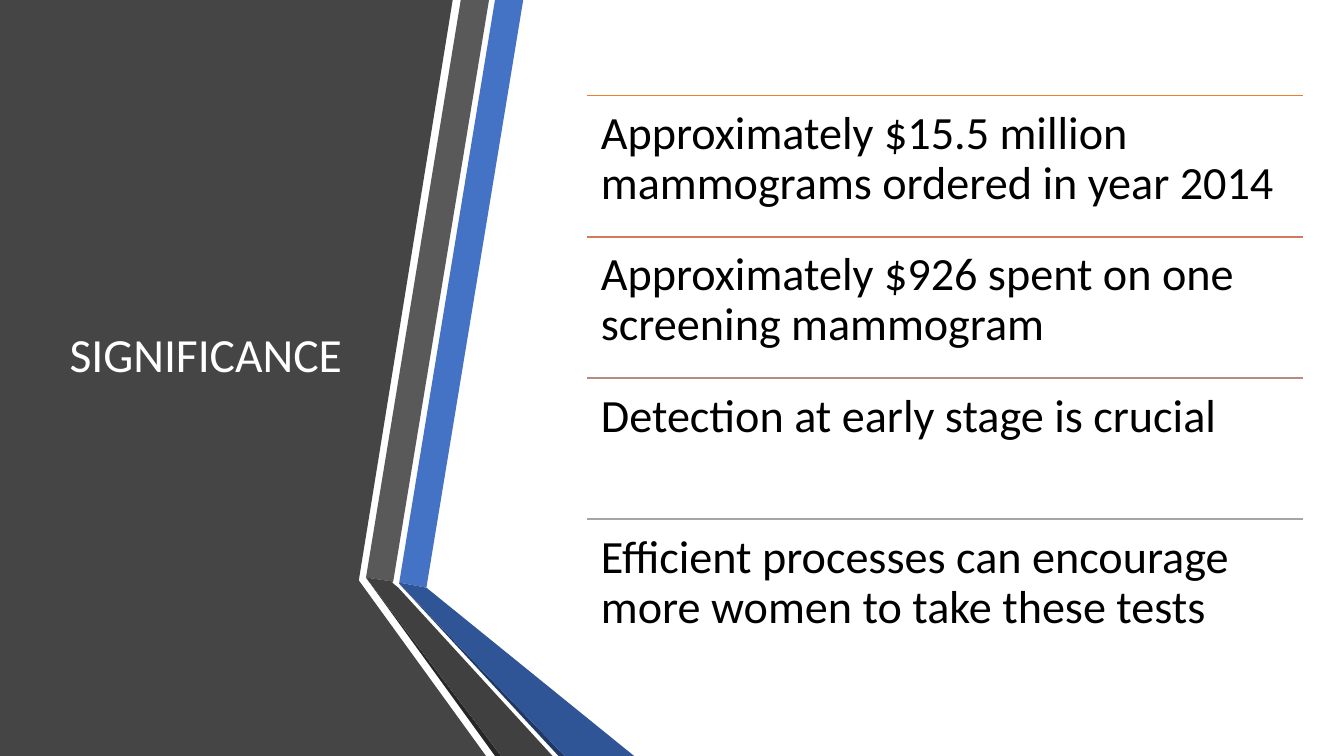
from lxml.etree import SubElement
from pptx import Presentation
from pptx.dml.color import RGBColor
from pptx.enum.shapes import MSO_CONNECTOR
from pptx.enum.text import MSO_ANCHOR, PP_ALIGN
from pptx.oxml.ns import qn
from pptx.util import Inches, Pt

WHITE = RGBColor(0xFF, 0xFF, 0xFF)
BLACK = RGBColor(0x00, 0x00, 0x00)
PANEL_GRAY = RGBColor(0x45, 0x45, 0x45)
BLUE = RGBColor(0x44, 0x72, 0xC4)
BLUE_FOLD = RGBColor(0x2F, 0x55, 0x97)
BLUE_SHADE = RGBColor(0x20, 0x38, 0x64)
GRAY = RGBColor(0x59, 0x59, 0x59)
GRAY_FOLD = RGBColor(0x40, 0x40, 0x40)
GRAY_SHADE = RGBColor(0x26, 0x26, 0x26)
ORANGE = RGBColor(0xED, 0x7D, 0x31)
COPPER = RGBColor(0xD1, 0x7B, 0x5C)
ROSE = RGBColor(0xB9, 0x8A, 0x82)
SILVER = RGBColor(0xA5, 0xA5, 0xA5)

# Outlines in inches, from back to front
RIBBONS = [
    (PANEL_GRAY, [(0, 0), (4.49, 0), (3.56, 5.75), (3.56, 5.76), (4.82, 7.5), (0, 7.5)]),
    (BLUE, [(3.96, 5.78), (4.23, 5.83), (5.19, 0), (4.91, 0)]),
    (GRAY, [(4.85, 0), (4.57, 0), (3.63, 5.73), (3.9, 5.77)]),
    (GRAY_SHADE, [(3.63, 5.73), (4.91, 7.5), (4.97, 7.5)]),
    (BLUE_SHADE, [(3.96, 5.79), (5.54, 7.5), (5.6, 7.5)]),
    (BLUE_FOLD, [(3.96, 5.79), (5.6, 7.5), (6.29, 7.5), (4.23, 5.83), (3.96, 5.78)]),
    (GRAY_FOLD, [(5.48, 7.5), (3.95, 5.83), (3.89, 5.78), (3.9, 5.77), (3.63, 5.73), (4.97, 7.5)]),
]

POINTS = [
    (ORANGE, "Approximately $15.5 million mammograms ordered in year 2014"),
    (COPPER, "Approximately $926 spent on one screening mammogram"),
    (ROSE, "Detection at early stage is crucial"),
    (SILVER, "Efficient processes can encourage more women to take these tests"),
]
POINT_LEFT, POINT_TOP = 5.82, 0.95
POINT_WIDTH, POINT_HEIGHT = 7.1, 1.4


class SlideBuilder:
    """Holds the text style and the slide being filled."""

    font_name = "Calibri"
    paragraph_format = {"alignment": PP_ALIGN.LEFT, "line_spacing": 0.9}

    def __init__(self, slide):
        self.slide = slide

    @staticmethod
    def apply(target, values):
        for name, value in values.items():
            setattr(target, name, value)

    def fill_text(self, shape, text, size, color, frame_format):
        frame = shape.text_frame
        self.apply(frame, {"word_wrap": True, **frame_format})
        paragraph = frame.paragraphs[0]
        self.apply(paragraph, self.paragraph_format)
        run = paragraph.add_run()
        run.text = text
        self.apply(run.font, {"name": self.font_name, "size": Pt(size)})
        run.font.color.rgb = color

    def ribbon(self, color, corners):
        start, *others = [(Inches(x), Inches(y)) for x, y in corners]
        builder = self.slide.shapes.build_freeform(*start)
        builder.add_line_segments(others, close=True)
        shape = builder.convert_to_shape()
        shape.shadow.inherit = False
        shape.fill.solid()
        shape.fill.fore_color.rgb = color
        shape.line.fill.background()

    def title(self, text, left, top, width, height):
        """Fill the title placeholder and bring it in front of the ribbons."""
        shape = self.slide.shapes.title
        self.apply(shape, {"left": Inches(left), "top": Inches(top),
                           "width": Inches(width), "height": Inches(height)})
        self.fill_text(shape, text, 34, WHITE, {"vertical_anchor": MSO_ANCHOR.MIDDLE})
        shape.element.getparent().append(shape.element)

    def rule(self, left, top, width, color):
        line = self.slide.shapes.add_connector(
            MSO_CONNECTOR.STRAIGHT, Inches(left), Inches(top), Inches(left + width), Inches(top))
        line.line.color.rgb = color
        line.line.width = Pt(1)
        SubElement(line.element.spPr, qn("a:effectLst"))

    def text(self, text, left, top, width, height):
        shape = self.slide.shapes.add_textbox(
            Inches(left), Inches(top), Inches(width), Inches(height))
        margins = {f"margin_{side}": Inches(0.14) for side in ("left", "top", "right", "bottom")}
        self.fill_text(shape, text, 33, BLACK, {"vertical_anchor": MSO_ANCHOR.TOP, **margins})


def main():
    presentation = Presentation()
    presentation.slide_width = Inches(13.33)
    presentation.slide_height = Inches(7.5)
    title_only = presentation.slide_layouts[5]
    builder = SlideBuilder(presentation.slides.add_slide(title_only))

    for color, corners in RIBBONS:
        builder.ribbon(color, corners)
    builder.title("SIGNIFICANCE", 0.59, 0.75, 3.04, 5.58)
    for index, (color, text) in enumerate(POINTS):
        top = POINT_TOP + index * POINT_HEIGHT
        builder.rule(POINT_LEFT, top, POINT_WIDTH, color)
        builder.text(text, POINT_LEFT, top, POINT_WIDTH, POINT_HEIGHT)

    presentation.save("out.pptx")


if __name__ == "__main__":
    main()
